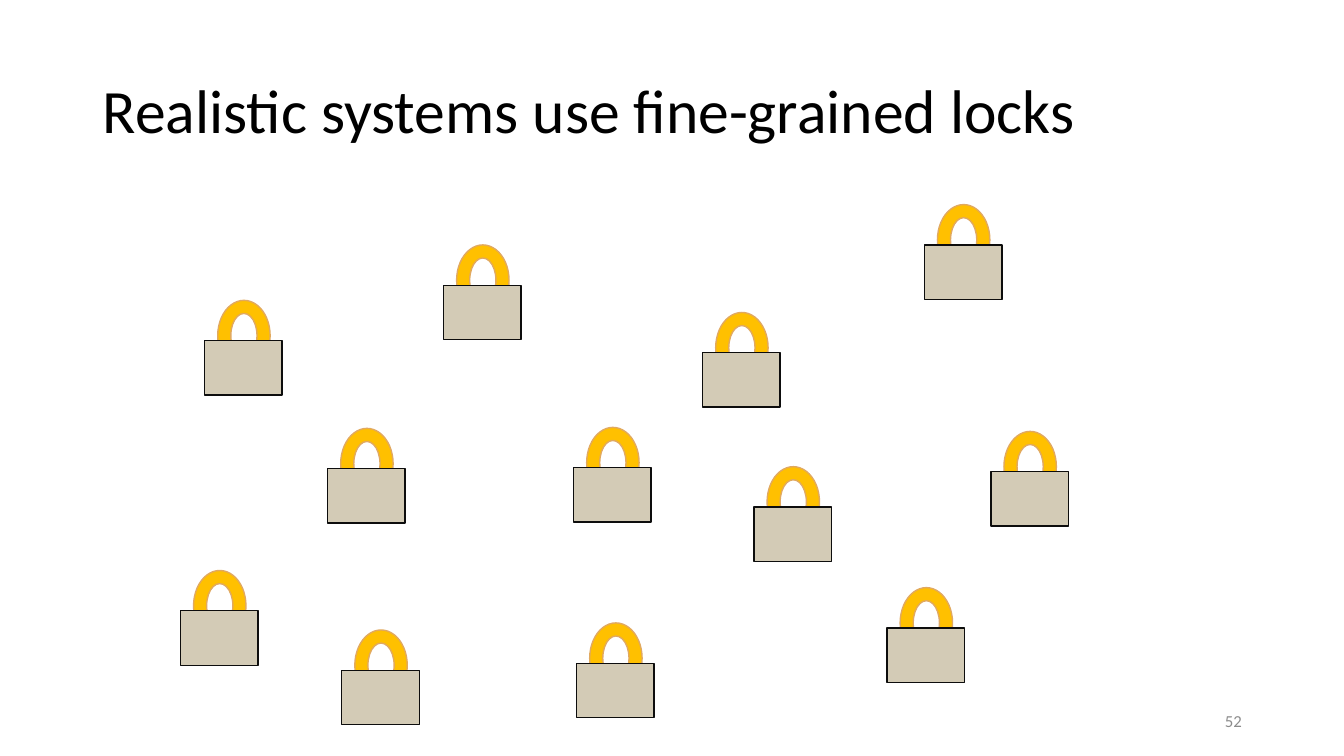
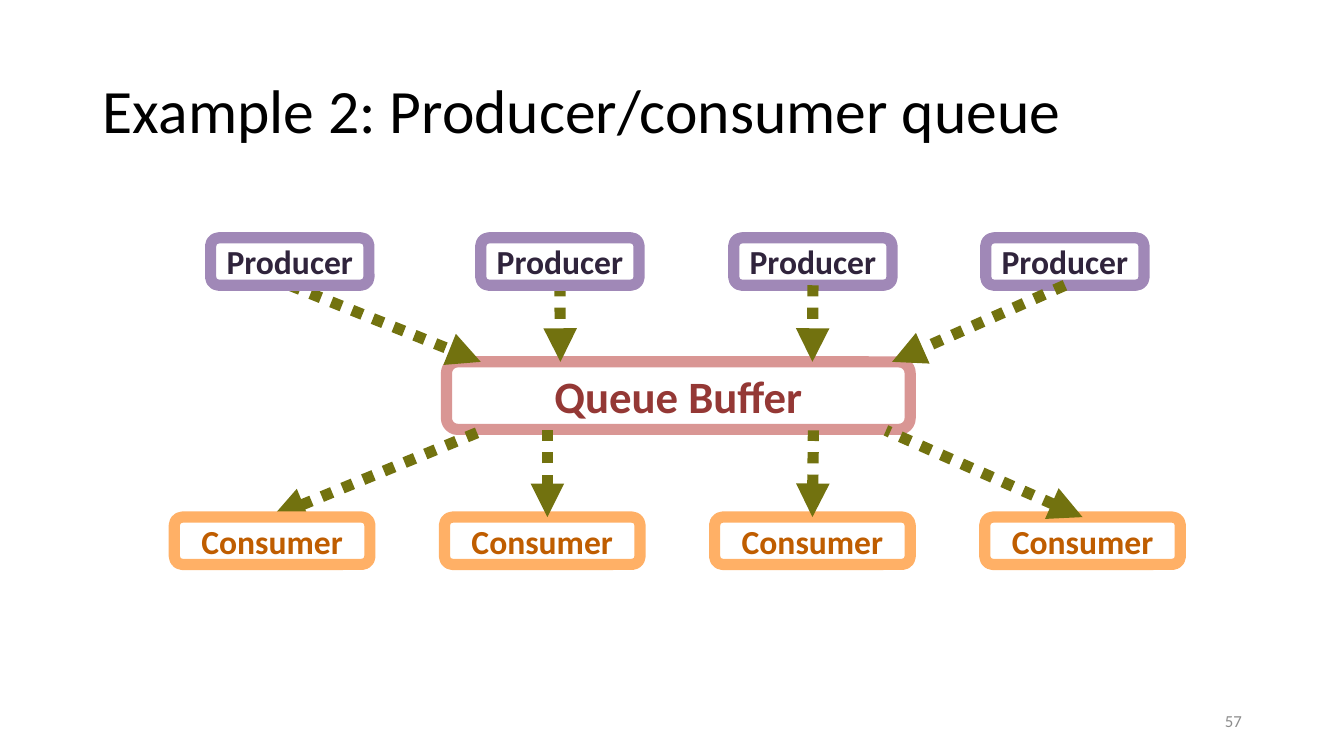
from lxml.etree import SubElement
from pptx import Presentation
from pptx.dml.color import RGBColor
from pptx.enum.shapes import MSO_CONNECTOR, MSO_SHAPE
from pptx.enum.text import MSO_ANCHOR, MSO_AUTO_SIZE, PP_ALIGN
from pptx.oxml.ns import qn
from pptx.util import Pt

PX = 9144  # EMU per px, 100 px to the inch
FONT = "Calibri"
COLORS = {
    "white": "FFFFFF", "title": "000000", "number": "8C8C8C",
    "shackle": "FFC000", "shackle_line": "E1A95F",
    "lock": "D3CBB6", "lock_line": "0D0D0D",
    "queue_line": "D99694", "queue_text": "943835",
    "producer_line": "A088B7", "producer_text": "30243C",
    "consumer_line": "FFB066", "consumer_text": "BF5D00",
    "arrow": "72720F",
}
TOP, BOTTOM = 0, 2  # connection sites of a rectangle

# Left and top of each lock body
LOCKS = [(179, 606), (339, 665), (325, 465), (748, 503), (572, 658), (569, 464),
         (697, 350), (880, 623), (983, 468), (203, 338), (917, 243), (440, 283)]

BOX_H = 47
PRODUCER_Y, PRODUCER_W = 236, 157
CONSUMER_X, CONSUMER_Y, CONSUMER_W, CONSUMER_STEP = 173, 513, 194, 268
QUEUE_X, QUEUE_Y, QUEUE_W, QUEUE_H = 443, 359, 460, 67
# Producers: box left, arrow x at the queue, arrow behind the box
PRODUCERS = [(209, 477, True), (477, 556, True), (728, 806, False), (978, 885, False)]
# Consumers: arrow x at the queue, arrow behind the box, own arrow x if off centre
CONSUMERS = [(479, True, None), (543, False, 543), (807, False, None), (879, False, None)]


def emu(*lengths):
    return [round(n * PX) for n in lengths]


def color(name):
    return RGBColor.from_string(COLORS[name])


def add_text(tf, text, size, color_name, align, bold=False):
    tf.vertical_anchor = MSO_ANCHOR.MIDDLE
    tf.auto_size = MSO_AUTO_SIZE.NONE
    p = tf.paragraphs[0]
    p.alignment = align
    r = p.add_run()
    r.text = text
    r.font.name, r.font.size, r.font.bold = FONT, Pt(size), bold
    r.font.color.rgb = color(color_name)
    return p


def add_slide(prs, title, number):
    s = prs.slides.add_slide(prs.slide_layouts[5])
    sp = s.shapes.title
    sp.left, sp.top, sp.width, sp.height = emu(92, 40, 1076, 145)
    p = add_text(sp.text_frame, title, 44, "title", PP_ALIGN.LEFT)
    p.line_spacing = 0.9
    tf = s.shapes.add_textbox(*emu(942, 695, 300, 40)).text_frame
    tf.word_wrap = True
    add_text(tf, number, 12, "number", PP_ALIGN.RIGHT)
    return s


def add_shape(shapes, kind, box, fill, line, width):
    sp = shapes.add_shape(kind, *emu(*box))
    sp.shadow.inherit = False
    sp.fill.solid()
    sp.fill.fore_color.rgb = color(fill)
    sp.line.color.rgb = color(line)
    sp.line.width = Pt(width)
    return sp


def add_lock(s, x, y):
    shapes = s.shapes.add_group_shape().shapes
    add_shape(shapes, MSO_SHAPE.DONUT, (x + 13, y - 40, 52, 70),
              "shackle", "shackle_line", 1)
    add_shape(shapes, MSO_SHAPE.RECTANGLE, (x, y, 77, 54), "lock", "lock_line", 1)


def add_box(s, role, text, size, box):
    sp = add_shape(s.shapes, MSO_SHAPE.ROUNDED_RECTANGLE, box,
                   "white", f"{role}_line", 8)
    sp.text_frame.word_wrap = False
    add_text(sp.text_frame, text, size, f"{role}_text", PP_ALIGN.CENTER, bold=True)
    return sp


def add_arrow(s, start, end, arrow_end, box, site, behind, joined=True):
    c = s.shapes.add_connector(MSO_CONNECTOR.STRAIGHT, *emu(*start, *end))
    if joined:
        c.begin_connect(box, site)
    c.line.color.rgb = color("arrow")
    c.line.width = Pt(8)
    ln = c.line._get_or_add_ln()
    SubElement(ln, qn("a:prstDash"), val="sysDot")
    SubElement(ln, qn(f"a:{arrow_end}"), type="triangle")
    SubElement(c._element.spPr, qn("a:effectLst"))
    if behind:
        box._element.addprevious(c._element)


def build_locks(prs):
    s = add_slide(prs, "Realistic systems use fine-grained locks", "52")
    for x, y in LOCKS:
        add_lock(s, x, y)


def build_queue(prs):
    s = add_slide(prs, "Example 2: Producer/consumer queue", "57")
    add_box(s, "queue", "Queue Buffer", 32, (QUEUE_X, QUEUE_Y, QUEUE_W, QUEUE_H))

    # Producers feed the top of the queue
    for x, queue_x, behind in PRODUCERS:
        box = add_box(s, "producer", "Producer", 24, (x, PRODUCER_Y, PRODUCER_W, BOX_H))
        start = (x + PRODUCER_W / 2, PRODUCER_Y + BOX_H)
        add_arrow(s, start, (queue_x, QUEUE_Y), "tailEnd", box, BOTTOM, behind)

    # Consumers draw from its bottom
    for i, (queue_x, behind, own_x) in enumerate(CONSUMERS):
        x = CONSUMER_X + i * CONSUMER_STEP
        box = add_box(s, "consumer", "Consumer", 24, (x, CONSUMER_Y, CONSUMER_W, BOX_H))
        start = (own_x or x + CONSUMER_W / 2, CONSUMER_Y)
        add_arrow(s, start, (queue_x, QUEUE_Y + QUEUE_H + 1), "headEnd", box, TOP,
                  behind, joined=own_x is None)


def main():
    prs = Presentation()
    prs.slide_width, prs.slide_height = emu(1333.33, 750)
    build_locks(prs)
    build_queue(prs)
    prs.save("out.pptx")


if __name__ == "__main__":
    main()
